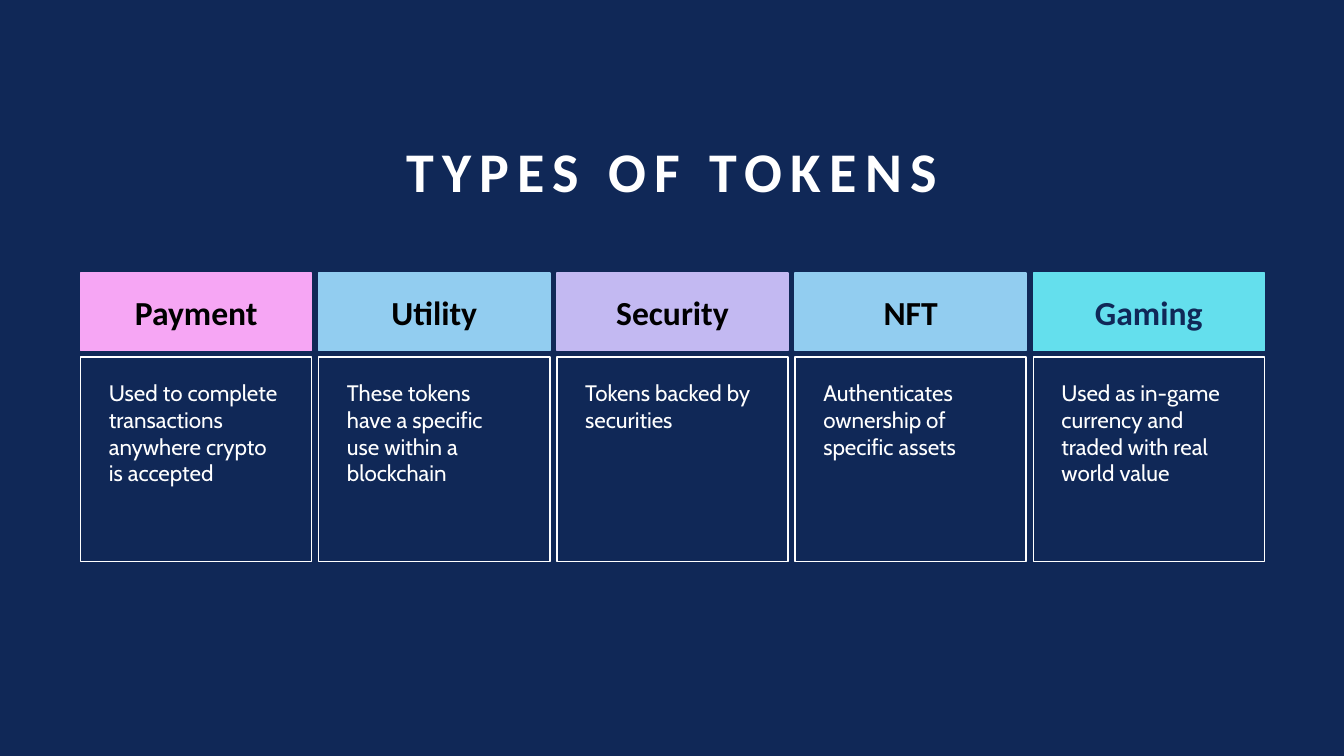
from pptx import Presentation
from pptx.dml.color import RGBColor
from pptx.enum.shapes import MSO_SHAPE
from pptx.enum.text import MSO_ANCHOR, PP_ALIGN
from pptx.util import Inches, Pt

RECT = MSO_SHAPE.RECTANGLE
TOP, MIDDLE, BOTTOM = MSO_ANCHOR.TOP, MSO_ANCHOR.MIDDLE, MSO_ANCHOR.BOTTOM
LEFT, CENTER = PP_ALIGN.LEFT, PP_ALIGN.CENTER

NAVY = RGBColor(0x10, 0x28, 0x57)
WHITE = RGBColor(0xFF, 0xFF, 0xFF)
BLACK = RGBColor(0x00, 0x00, 0x00)
PINK = RGBColor(0xF6, 0xA6, 0xF4)
BLUE = RGBColor(0x92, 0xCD, 0xF0)
LILAC = RGBColor(0xC3, 0xB9, 0xF2)
CYAN = RGBColor(0x64, 0xDF, 0xED)

TOKENS = [
    ("Payment", "Used to complete transactions anywhere crypto is accepted", PINK, BLACK),
    ("Utility", "These tokens have a specific use within a blockchain", BLUE, BLACK),
    ("Security", "Tokens backed by securities", LILAC, BLACK),
    ("NFT", "Authenticates ownership of specific assets", BLUE, BLACK),
    ("Gaming", "Used as in-game currency and traded with real world value", CYAN, NAVY),
]


def write(tf, text, font="Calibri", size=24, color=WHITE, bold=False, align=LEFT,
          anchor=TOP, insets=(0.1, 0.05, 0.1, 0.05), leading=1.0, tracking=0):
    tf.word_wrap = True
    tf.vertical_anchor = anchor
    tf.margin_left, tf.margin_top, tf.margin_right, tf.margin_bottom = map(Inches, insets)
    p = tf.paragraphs[0]
    p.alignment = align
    p.line_spacing = leading
    r = p.add_run()
    r.text = text
    r.font.name = font
    r.font.size = Pt(size)
    r.font.bold = bold
    r.font.color.rgb = color
    if tracking:
        r._r.get_or_add_rPr().set("spc", str(tracking * 100))


class TokenSlide:
    """Draws a title and a grid of token cards on one slide."""

    heading_font, body_font = "Calibri", "Cabin"
    left, right, gap = 0.8, 12.54, 0.07
    rows = ((2.71, 0.77), (3.54, 2.03))

    def __init__(self, prs, columns):
        self.s = prs.slides.add_slide(prs.slide_layouts[6])
        self.s.background.fill.solid()
        self.s.background.fill.fore_color.rgb = NAVY
        self.width = (self.right - self.left - self.gap * (columns - 1)) / columns

    def title(self, text):
        sp = self.s.shapes.add_textbox(Inches(1.81), Inches(0.91), Inches(9.71), Inches(1.17))
        write(sp.text_frame, text, font=self.heading_font, size=40, bold=True,
              align=CENTER, anchor=BOTTOM, leading=0.9, tracking=6)

    def box(self, col, row, line, fill=None):
        x = self.left + col * (self.width + self.gap)
        y, height = self.rows[row]
        sp = self.s.shapes.add_shape(RECT, Inches(x), Inches(y),
                                     Inches(self.width), Inches(height))
        sp.shadow.inherit = False
        if fill is None:
            sp.fill.background()
        else:
            sp.fill.solid()
            sp.fill.fore_color.rgb = fill
        sp.line.color.rgb = line
        sp.line.width = Pt(1)
        return sp.text_frame

    def header(self, col, text, fill, color):
        write(self.box(col, 0, fill, fill), text, font=self.heading_font,
              color=color, bold=True, align=CENTER, anchor=MIDDLE)

    def body(self, col, text):
        write(self.box(col, 1, WHITE), text, font=self.body_font, size=16,
              insets=(0.28, 0.22, 0.3, 0.05))


def main():
    prs = Presentation()
    prs.slide_width, prs.slide_height = Inches(13.33), Inches(7.5)
    slide = TokenSlide(prs, len(TOKENS))
    slide.title("TYPES OF TOKENS")
    for col, (name, use, fill, color) in enumerate(TOKENS):
        slide.header(col, name, fill, color)
        slide.body(col, use)
    prs.save("out.pptx")


if __name__ == "__main__":
    main()
